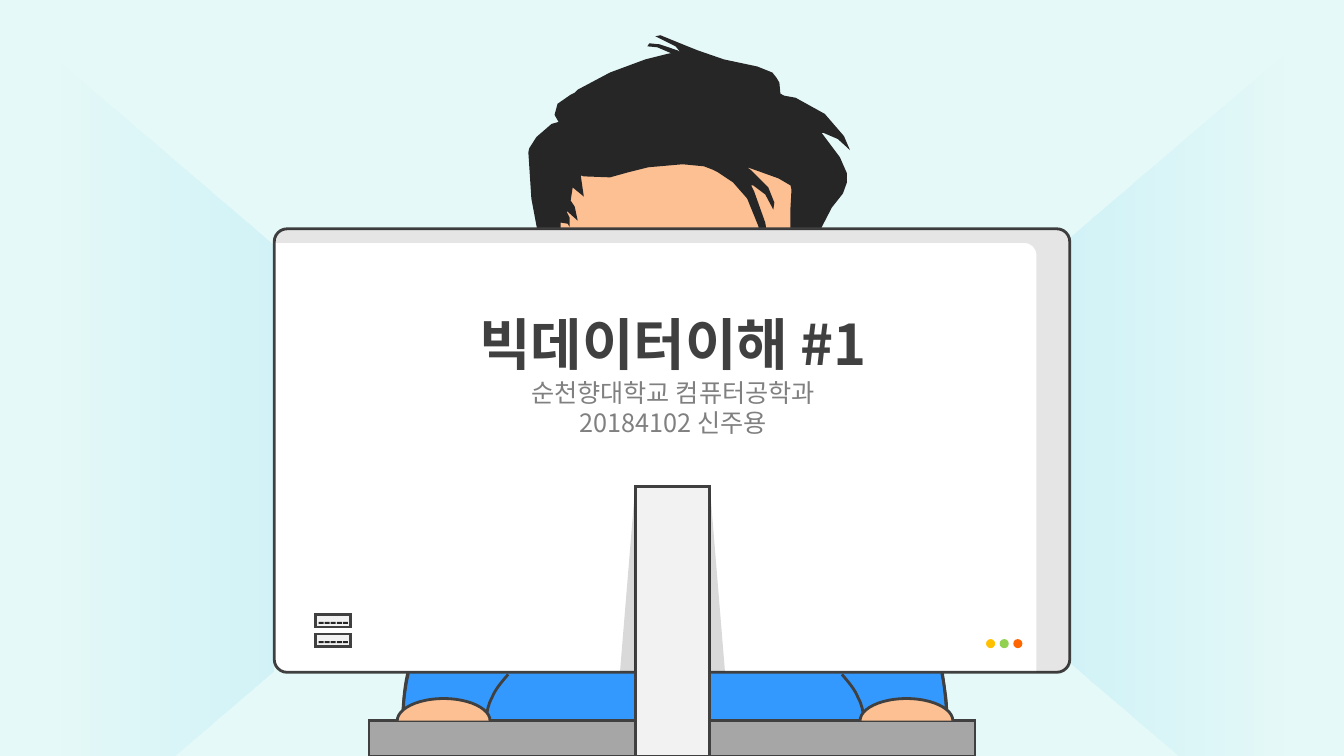
from lxml import etree
from pptx import Presentation
from pptx.dml.color import RGBColor
from pptx.enum.shapes import MSO_SHAPE
from pptx.enum.text import MSO_ANCHOR, MSO_AUTO_SIZE, PP_ALIGN
from pptx.oxml.ns import qn
from pptx.util import Inches, Pt

RECT, ROUND, OVAL = MSO_SHAPE.RECTANGLE, MSO_SHAPE.ROUNDED_RECTANGLE, MSO_SHAPE.OVAL
TRAPEZOID, TRIANGLE = MSO_SHAPE.TRAPEZOID, MSO_SHAPE.RIGHT_TRIANGLE
BRACKET = MSO_SHAPE.LEFT_BRACKET
MIDDLE, TOP, CENTER = MSO_ANCHOR.MIDDLE, MSO_ANCHOR.TOP, PP_ALIGN.CENTER
NO_AUTOFIT = MSO_AUTO_SIZE.NONE

FONT = "Noto Sans CJK KR"
MINT = RGBColor(0xE5, 0xF9, 0xF8)
SKY = RGBColor(0x00, 0xB0, 0xF0)
SHIRT = RGBColor(0x33, 0x99, 0xFF)
SKIN = RGBColor(0xFC, 0xC0, 0x93)
HAIR = RGBColor(0x26, 0x26, 0x26)
INK = RGBColor(0x40, 0x40, 0x40)
GREY = RGBColor(0x80, 0x80, 0x80)
DESK = RGBColor(0xA6, 0xA6, 0xA6)
PANEL = RGBColor(0xF2, 0xF2, 0xF2)
WHITE = RGBColor(0xFF, 0xFF, 0xFF)
BLACK = RGBColor(0x00, 0x00, 0x00)
LIGHTS = [RGBColor(0xFF, 0xC0, 0x00), RGBColor(0x92, 0xD0, 0x50), RGBColor(0xFF, 0x66, 0x00)]

MIRROR = 13.39  # sum of the x values of a left and right pair

# Outlines: two numbers are a line to a point, six are a Bezier curve
SHIRT_OUTLINE = [
    (3.97, 7.28), (4.01, 7.15, 3.98, 6.72, 4.11, 6.51), (4.25, 6.3, 4.48, 6.11, 4.75, 6.03),
    (5.02, 5.94, 5.18, 6, 5.71, 6), (6.24, 6, 7.37, 6, 7.93, 6.03),
    (8.49, 6.06, 8.84, 6.1, 9.07, 6.18), (9.3, 6.26, 9.26, 6.32, 9.31, 6.49),
    (9.36, 6.67, 9.4, 7.1, 9.39, 7.24), (9.37, 7.38, 9.25, 7.31, 9.19, 7.34),
    (9.14, 7.36, 9.15, 7.4, 9.06, 7.4), (8.96, 7.41, 8.63, 7.38, 8.63, 7.38), (6.31, 7.39),
    (5.57, 7.38, 4.98, 7.35, 4.53, 7.32), (4.08, 7.29, 3.94, 7.35, 3.85, 7.34),
    (3.75, 7.33, 3.92, 7.42, 3.97, 7.28)]
HEAD_OUTLINE = [
    (5.44, 1.86), (5.43, 2.06, 5.31, 2.69, 5.47, 2.92), (5.63, 3.14, 6.12, 3.16, 6.42, 3.19),
    (6.72, 3.23, 7.04, 3.19, 7.26, 3.11), (7.49, 3.03, 7.64, 2.86, 7.76, 2.74),
    (7.89, 2.61, 7.96, 2.53, 8.01, 2.38), (8.07, 2.22, 8.13, 1.97, 8.1, 1.81),
    (8.07, 1.65, 8.06, 1.51, 7.83, 1.42), (7.6, 1.33, 7.04, 1.25, 6.71, 1.26),
    (6.38, 1.28, 6.02, 1.44, 5.83, 1.51), (5.64, 1.59, 5.63, 1.65, 5.57, 1.71),
    (5.5, 1.77, 5.46, 1.66, 5.44, 1.86)]
HAIR_OUTLINE = [
    (5.5, 2.97), (5.47, 2.92), (5.4, 2.72), (5.34, 2.37), (5.33, 2.29), (5.27, 1.97),
    (5.24, 1.51), (5.25, 1.47), (5.32, 1.36), (5.47, 1.23), (5.54, 1.21), (5.5, 1.14),
    (5.53, 1.03), (5.66, 0.94), (5.7, 0.92), (5.73, 0.89), (6.05, 0.72), (6.4, 0.59),
    (6.64, 0.53), (6.66, 0.53), (6.52, 0.47), (6.42, 0.46), (6.44, 0.43), (6.54, 0.44),
    (6.72, 0.5), (6.75, 0.52), (6.7, 0.46), (6.5, 0.36), (6.55, 0.35), (6.77, 0.44),
    (6.92, 0.5), (7.18, 0.59), (7.51, 0.66), (7.66, 0.72), (7.7, 0.77), (7.73, 0.82),
    (7.74, 0.93), (7.78, 0.95), (7.89, 0.97), (8.18, 1.13), (8.37, 1.35), (8.43, 1.49),
    (8.31, 1.38), (8.17, 1.32), (8.15, 1.32), (8.18, 1.36), (8.33, 1.56), (8.4, 1.72),
    (8.4, 1.81), (8.36, 1.92), (8.25, 2.06), (8.1, 2.35), (8.03, 2.57), (8.01, 2.71),
    (7.96, 2.92), (7.92, 3.01), (7.9, 3.02), (7.87, 2.99), (7.84, 2.69), (7.84, 2.06),
    (7.85, 1.88), (7.84, 1.84), (7.72, 1.77), (7.47, 1.68), (7.41, 1.66), (7.45, 1.69),
    (7.62, 1.86), (7.68, 2.01), (7.67, 2.08), (7.59, 1.93), (7.47, 1.84), (7.45, 1.84),
    (7.48, 1.9), (7.59, 2.21), (7.61, 2.34), (7.58, 2.41), (7.56, 2.43), (7.52, 2.24),
    (7.41, 1.97), (7.27, 1.81), (7.12, 1.71), (7.06, 1.68), (6.98, 1.65), (6.77, 1.63),
    (6.43, 1.66), (6.23, 1.71), (6.05, 1.76), (5.79, 1.75), (5.76, 1.74), (5.79, 1.95),
    (5.68, 1.86), (5.66, 1.99), (5.7, 2.05), (5.73, 2.19), (5.63, 2.1), (5.62, 2.1),
    (5.65, 2.16), (5.65, 2.25), (5.63, 2.22), (5.57, 2.21), (5.56, 2.21), (5.56, 2.31),
    (5.56, 2.73), (5.54, 2.94), (5.5, 2.97)]
SHADE_OUTLINE = [
    (2.85, 2.27), (10.48, 2.27), (10.55, 2.27, 10.61, 2.33, 10.61, 2.4), (10.61, 6.54),
    (10.61, 6.62, 10.55, 6.67, 10.48, 6.67), (10.28, 6.67), (10.28, 2.54),
    (10.28, 2.46, 10.23, 2.41, 10.15, 2.41), (2.72, 2.41), (2.72, 2.4),
    (2.72, 2.33, 2.78, 2.27, 2.85, 2.27)]
SLEEVE_FOLDS = [
    [(4.82, 7.14), (4.83, 7.06, 4.84, 6.99, 4.88, 6.92), (4.91, 6.84, 4.98, 6.76, 5.04, 6.69)],
    [(4, 7.14), (4, 7.06, 4, 6.99, 4.01, 6.91), (4.02, 6.84, 4.03, 6.76, 4.05, 6.68)]]


class Page:
    def __init__(self, deck):
        self.slide = deck.slides.add_slide(deck.slide_layouts[0])
        self.shapes = self.slide.shapes
        background = self.slide.background.fill
        background.solid()
        background.fore_color.rgb = MINT

    def set_alpha(self, shape, *percents):
        for color, percent in zip(shape.element.spPr.iter(qn("a:srgbClr")), percents):
            etree.SubElement(color, qn("a:alpha"), val=str(percent * 1000))

    def paint(self, shape, fill, lined, alpha=None):
        shape.shadow.inherit = False
        if fill is None:
            shape.fill.background()
        else:
            shape.fill.solid()
            shape.fill.fore_color.rgb = fill
        if alpha is not None:
            self.set_alpha(shape, alpha)
        if lined:
            shape.line.color.rgb = INK
            shape.line.width = Pt(2)
            line = shape.element.spPr.find(qn("a:ln"))
            etree.SubElement(line, qn("a:miter"), lim="800000")
        else:
            shape.line.fill.background()

    def preset(self, kind, place, fill, lined=False, alpha=None, adjust=None, turn=0, flip=None):
        shape = self.shapes.add_shape(kind, *map(Inches, place))
        self.paint(shape, fill, lined, alpha)
        shape.rotation = turn
        if adjust is not None:
            shape.adjustments[0] = adjust
        if flip:
            shape.element.spPr.find(qn("a:xfrm")).set(flip, "1")
        return shape

    def outline(self, outline, fill=None, lined=False, alpha=None):
        ends = [(Inches(part[-2]), Inches(part[-1])) for part in outline]
        builder = self.shapes.build_freeform(*ends[0])
        builder.add_line_segments(ends[1:], close=fill is not None)
        shape = builder.convert_to_shape()
        self.paint(shape, fill, lined, alpha)
        # Turn the straight segments of curved parts into Bezier curves
        segments = list(shape.element.spPr.iter(qn("a:lnTo")))
        for segment, part in zip(segments, outline[1:]):
            if len(part) == 6:
                segment.tag = qn("a:cubicBezTo")
                for index, (x, y) in enumerate((part[:2], part[2:4])):
                    point = etree.Element(qn("a:pt"), x=str(Inches(x) - shape.left),
                                          y=str(Inches(y) - shape.top))
                    segment.insert(index, point)

    def wall(self, place, turn):
        shape = self.preset(TRAPEZOID, place, SKY, adjust=0.857, turn=turn, flip="flipV")
        shape.fill.gradient()
        shape.fill.gradient_angle = 90
        for position, stop in enumerate(shape.fill.gradient_stops):
            stop.position = position
            stop.color.rgb = SKY
        self.set_alpha(shape, 0, 9)

    def text(self, box, place, lines, size, color, bold, anchor, spacing=None):
        self.shapes.element.append(box.element)  # bring to the front
        box.left, box.top, box.width, box.height = map(Inches, place)
        frame = box.text_frame
        frame.text = "\n".join(lines)
        frame.word_wrap, frame.auto_size, frame.vertical_anchor = True, NO_AUTOFIT, anchor
        frame.margin_top = frame.margin_bottom = 0
        for para in frame.paragraphs:
            para.alignment = CENTER
            para.space_before = Pt(0)
            if spacing:
                para.line_spacing = Pt(spacing)
            font = para.font
            font.name, font.size, font.bold, font.color.rgb = FONT, Pt(size), bold, color
            style = font._element
            style.set("kern", "0")
            latin = style.find(qn("a:latin"))
            latin.addnext(latin.makeelement(qn("a:ea"), {"typeface": FONT}))


def main():
    deck = Presentation()
    deck.slide_width, deck.slide_height = Inches(13.33), Inches(7.5)
    page = Page(deck)

    # Side walls
    page.wall((-2.45, 3.42, 8.08, 2.25), 270)
    page.wall((7.7, 3.34, 8.08, 2.25), 90)

    # Person
    page.outline(SHIRT_OUTLINE, SHIRT, lined=True)
    page.outline(HEAD_OUTLINE, SKIN)
    page.outline(HAIR_OUTLINE, HAIR)

    # Monitor, desk and stand
    page.preset(ROUND, (2.72, 2.27, 7.89, 4.4), WHITE, lined=True, adjust=0.029)
    page.preset(RECT, (3.66, 7.15, 6.01, 0.35), DESK, lined=True)
    page.preset(RECT, (6.3, 4.83, 0.74, 2.67), PANEL, lined=True)
    for left, flip in ((6.15, "flipH"), (7.04, None)):
        page.preset(TRIANGLE, (left, 4.83, 0.15, 1.83), BLACK, alpha=15, flip=flip)

    # Sleeves and hands
    for fold in SLEEVE_FOLDS:
        page.outline(fold, lined=True)
        page.outline([tuple(MIRROR - value if i % 2 == 0 else value
                            for i, value in enumerate(part)) for part in fold], lined=True)
    for left, turn, flip in ((4.29, 90, None), (8.88, 270, "flipH")):
        page.preset(BRACKET, (left, 6.58, 0.22, 0.92), SKIN, lined=True,
                    adjust=2.142, turn=turn, flip=flip)

    # Monitor shade, vents and lights
    page.outline(SHADE_OUTLINE, BLACK, alpha=10)
    for top in (6.1, 6.29):
        page.preset(RECT, (3.13, top, 0.35, 0.12), PANEL, lined=True)
        for slot in range(5):
            page.preset(RECT, (3.16 + 0.06 * slot, top + 0.07, 0.05, 0.02), HAIR)
    for index, color in enumerate(LIGHTS):
        page.preset(OVAL, (9.78 + 0.135 * index, 6.34, 0.09, 0.09), color)

    # Title and author
    title, author = page.slide.placeholders
    page.text(title, (3.34, 3.07, 6.67, 0.66), ["빅데이터이해 #1"], 40, INK, True, MIDDLE)
    page.text(author, (3.34, 3.74, 6.67, 0.6), ["순천향대학교 컴퓨터공학과", "20184102 신주용"],
              18, GREY, False, TOP, spacing=21.5)

    deck.save("out.pptx")


if __name__ == "__main__":
    main()
